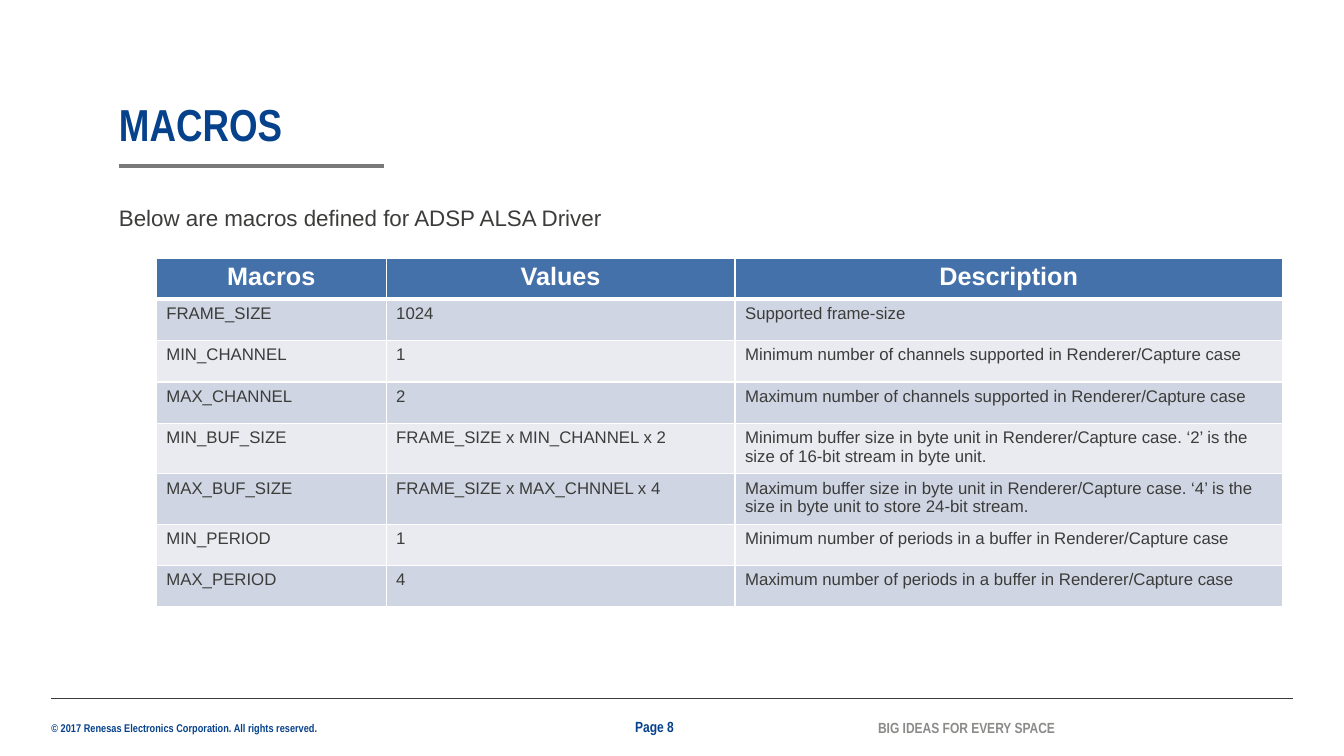
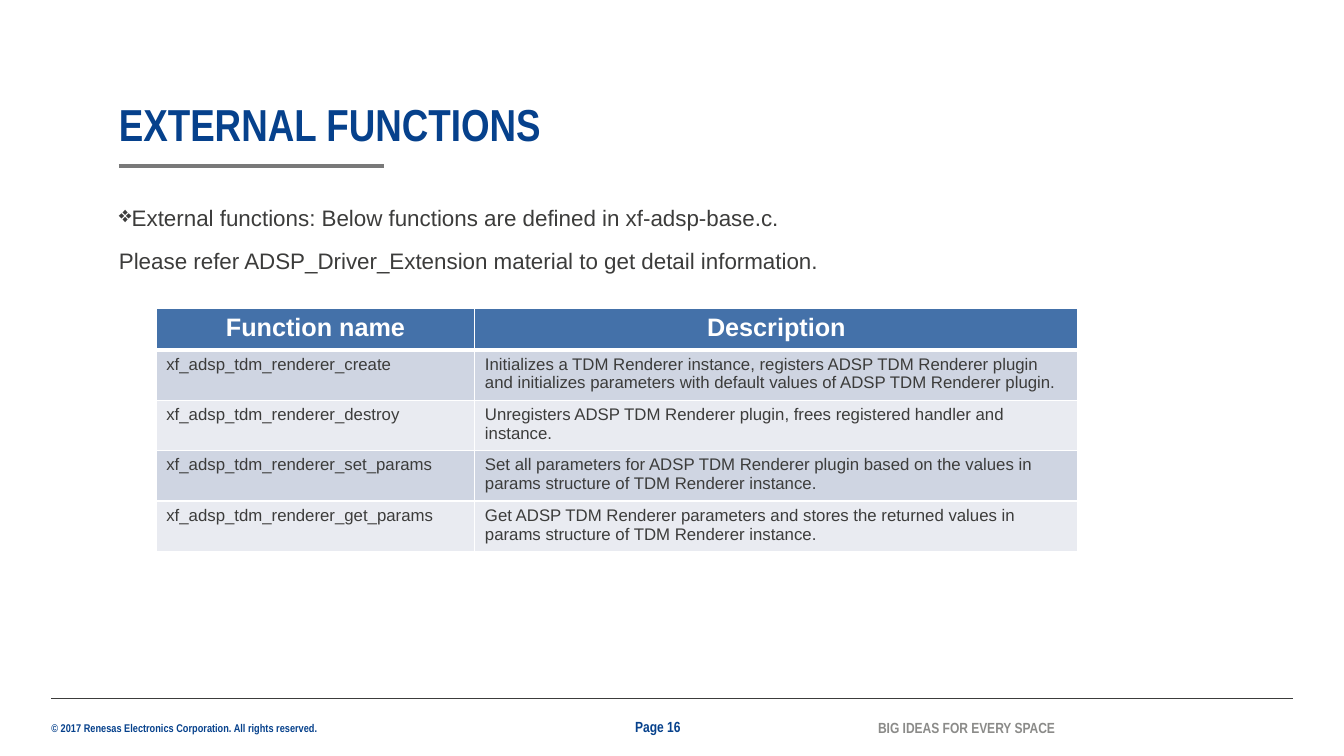
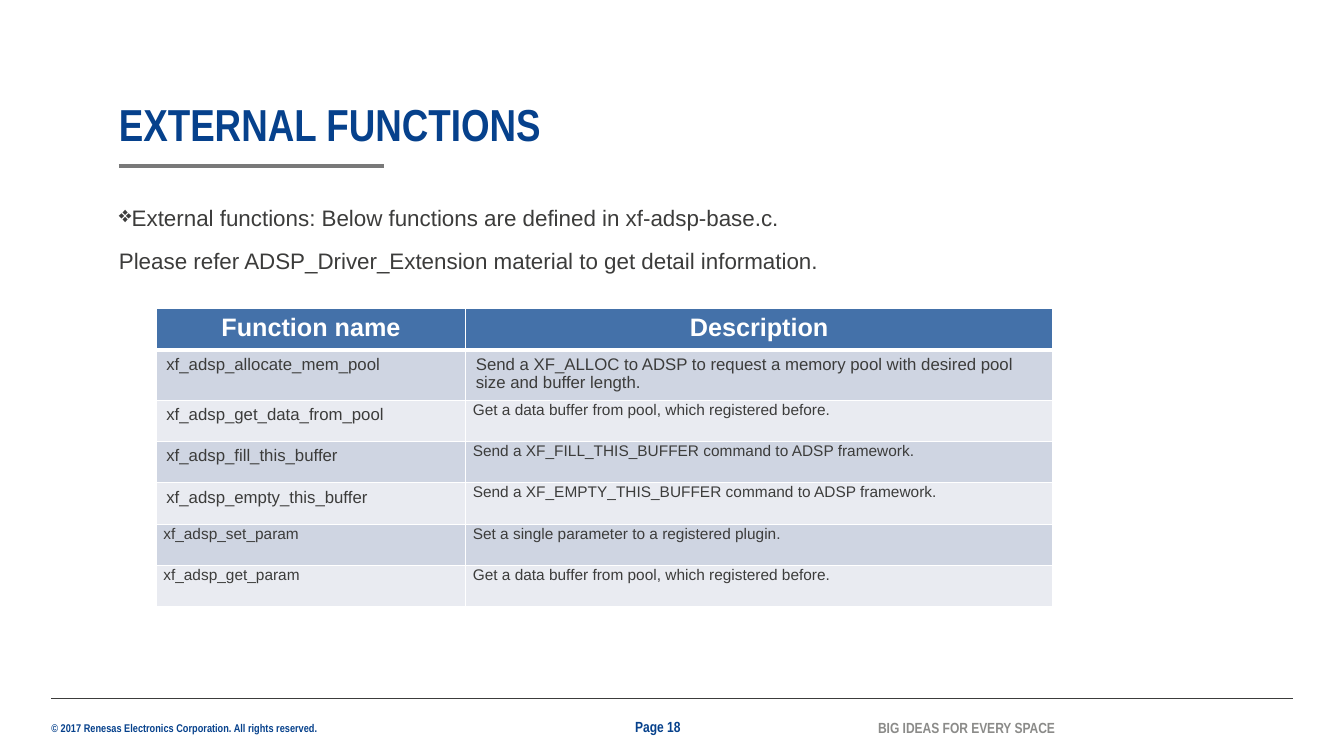
"""Builds three driver reference slides, each with a titled table."""
from dataclasses import dataclass
from typing import NamedTuple

from lxml.etree import SubElement
from pptx import Presentation
from pptx.dml.color import RGBColor
from pptx.enum.shapes import MSO_CONNECTOR
from pptx.enum.text import MSO_ANCHOR as Anchor, MSO_AUTO_SIZE as AutoSize, PP_ALIGN as Align
from pptx.oxml.ns import qn
from pptx.util import Inches, Pt

NAVY = RGBColor(0x06, 0x41, 0x8C)
INK = RGBColor(0x3C, 0x3C, 0x3B)
RULE_GRAY = RGBColor(0x79, 0x79, 0x79)
SLOGAN_GRAY = RGBColor(0x8B, 0x8B, 0x89)
HEADER_BLUE = RGBColor(0x44, 0x71, 0xA9)
BAND_DARK = RGBColor(0xCF, 0xD5, 0xE2)
BAND_LIGHT = RGBColor(0xE9, 0xEB, 0xF1)
WHITE = RGBColor(0xFF, 0xFF, 0xFF)

LEFT = 1.18
TABLE_LEFT = 1.55
ROW_HEIGHT = 0.41
THIN, THICK = 1, 3


class TextStyle(NamedTuple):
    size: float
    color: RGBColor
    bold: bool = True
    name: str = "Arial Narrow"
    line_spacing: float | None = None
    space_after: float | None = None
    align: Align = Align.LEFT


class Frame(NamedTuple):
    left: float
    top: float
    width: float
    height: float


class Rule(NamedTuple):
    left: float
    right: float
    top: float
    color: RGBColor
    weight: float


class Compact(str):
    """Cell text set smaller, with tight margins."""


@dataclass
class TablePage:
    title: str
    number: int
    intro: list[str]
    intro_width: float
    table_top: float
    columns: list[float]
    rows: list[list[str]]


TITLE = TextStyle(32, NAVY, line_spacing=0.9)
COPYRIGHT = TextStyle(8, NAVY)
PAGE_NUMBER = TextStyle(10.5, NAVY)
SLOGAN = TextStyle(10.5, SLOGAN_GRAY)
BODY = TextStyle(16, INK, False, "Arial", 1.2, 8)
HEADER = TextStyle(18, WHITE, True, "Arial", align=Align.CENTER)
CELL = TextStyle(12, INK, False, "Arial")
COMPACT_CELL = TextStyle(11, INK, False, "Arial", 1.07)

RULES = [
    Rule(0.51, 12.82, 6.93, INK, 0.5),
    Rule(LEFT, 3.81, 1.65, RULE_GRAY, 3),
]
BULLET = "❖"
FUNCTION_INTRO = [
    BULLET + "External functions: Below functions are defined in xf-adsp-base.c.",
    "Please refer ADSP_Driver_Extension material to get detail information.",
]
FUNCTION_HEADER = ["Function name", "Description"]

PAGES = [
    TablePage(
        "MACROS", 8, ["Below are macros defined for ADSP ALSA Driver"], 4.84, 2.56,
        [2.28, 3.46, 5.43],
        [
            ["Macros", "Values", "Description"],
            ["FRAME_SIZE", "1024", "Supported frame-size"],
            ["MIN_CHANNEL", "1", "Minimum number of channels supported in Renderer/Capture case"],
            ["MAX_CHANNEL", "2", "Maximum number of channels supported in Renderer/Capture case"],
            ["MIN_BUF_SIZE", "FRAME_SIZE x MIN_CHANNEL x 2",
             "Minimum buffer size in byte unit in Renderer/Capture case. "
             "‘2’ is the size of 16-bit stream in byte unit."],
            ["MAX_BUF_SIZE", "FRAME_SIZE x MAX_CHNNEL x 4",
             "Maximum buffer size in byte unit in Renderer/Capture case. "
             "‘4’ is the size in byte unit to store 24-bit stream."],
            ["MIN_PERIOD", "1", "Minimum number of periods in a buffer in Renderer/Capture case"],
            ["MAX_PERIOD", "4", "Maximum number of periods in a buffer in Renderer/Capture case"],
        ],
    ),
    TablePage(
        "EXTERNAL FUNCTIONS", 16, FUNCTION_INTRO, 6.96, 3.06, [3.16, 5.98],
        [
            FUNCTION_HEADER,
            ["xf_adsp_tdm_renderer_create",
             "Initializes a TDM Renderer instance, registers ADSP TDM Renderer plugin "
             "and initializes parameters with default values of ADSP TDM Renderer plugin."],
            ["xf_adsp_tdm_renderer_destroy",
             "Unregisters ADSP TDM Renderer plugin, frees registered handler and instance."],
            ["xf_adsp_tdm_renderer_set_params",
             "Set all parameters for ADSP TDM Renderer plugin based on the values in "
             "params structure of TDM Renderer instance."],
            ["xf_adsp_tdm_renderer_get_params",
             "Get ADSP TDM Renderer parameters and stores the returned values in "
             "params structure of TDM Renderer instance."],
        ],
    ),
    TablePage(
        "EXTERNAL FUNCTIONS", 18, FUNCTION_INTRO, 7.3, 3.06, [3.07, 5.82],
        [
            FUNCTION_HEADER,
            ["xf_adsp_allocate_mem_pool",
             "Send a XF_ALLOC to ADSP to request a memory pool with desired pool "
             "size and buffer length."],
            ["xf_adsp_get_data_from_pool",
             Compact("Get a data buffer from pool, which registered before.")],
            ["xf_adsp_fill_this_buffer",
             Compact("Send a XF_FILL_THIS_BUFFER command to ADSP framework.")],
            ["xf_adsp_empty_this_buffer",
             Compact("Send a XF_EMPTY_THIS_BUFFER command to ADSP framework.")],
            [Compact("xf_adsp_set_param"),
             Compact("Set a single parameter to a registered plugin.")],
            [Compact("xf_adsp_get_param"),
             Compact("Get a data buffer from pool, which registered before.")],
        ],
    ),
]


def write_paragraph(para, text: str, style: TextStyle) -> None:
    para.alignment = style.align
    if style.line_spacing:
        para.line_spacing = style.line_spacing
    if style.space_after:
        para.space_after = Pt(style.space_after)
    if text.startswith(BULLET):
        properties = para._p.get_or_add_pPr()
        properties.set("marL", "0")
        properties.set("indent", "0")
        SubElement(properties, qn("a:buChar")).set("char", BULLET)
    para.font.name = style.name
    para.font.size = Pt(style.size)
    para.font.bold = style.bold
    para.font.color.rgb = style.color
    para.add_run().text = text.removeprefix(BULLET)


def add_text(page, frame: Frame, lines: list[str], style: TextStyle,
             anchor: Anchor = Anchor.TOP, wrap: bool = True) -> None:
    box = page.shapes.add_textbox(*map(Inches, frame)).text_frame
    box.margin_left = box.margin_top = box.margin_right = box.margin_bottom = 0
    box.vertical_anchor = anchor
    box.word_wrap = wrap
    box.auto_size = AutoSize.SHAPE_TO_FIT_TEXT
    for index, line in enumerate(lines):
        para = box.add_paragraph() if index else box.paragraphs[0]
        write_paragraph(para, line, style)


def add_rule(page, rule: Rule) -> None:
    line = page.shapes.add_connector(
        MSO_CONNECTOR.STRAIGHT, Inches(rule.left), Inches(rule.top),
        Inches(rule.right), Inches(rule.top))
    line.line.color.rgb = rule.color
    line.line.width = Pt(rule.weight)
    SubElement(line._element.spPr, qn("a:effectLst"))


def set_borders(cell, top: float, bottom: float) -> None:
    properties = cell._tc.get_or_add_tcPr()
    for side, weight in (("L", THIN), ("R", THIN), ("T", top), ("B", bottom)):
        border = SubElement(properties, qn(f"a:ln{side}"))
        border.set("w", str(Pt(weight)))
        fill = SubElement(border, qn("a:solidFill"))
        SubElement(fill, qn("a:srgbClr")).set("val", str(WHITE))


def fill_cell(cell, text: str, row: int) -> None:
    set_borders(cell, THICK if row == 1 else THIN, THICK if row == 0 else THIN)
    cell.fill.solid()
    if row == 0:
        cell.fill.fore_color.rgb = HEADER_BLUE
        style = HEADER
    else:
        cell.fill.fore_color.rgb = BAND_DARK if row % 2 else BAND_LIGHT
        style = CELL
    if isinstance(text, Compact):
        style = COMPACT_CELL
        cell.margin_left = cell.margin_right = Inches(0.07)
        cell.margin_top = cell.margin_bottom = 0
    write_paragraph(cell.text_frame.paragraphs[0], text, style)


def add_grid(page, content: TablePage) -> None:
    rows, columns = content.rows, content.columns
    frame = Frame(TABLE_LEFT, content.table_top, sum(columns), ROW_HEIGHT * len(rows))
    table = page.shapes.add_table(len(rows), len(columns), *map(Inches, frame)).table
    for column, width in zip(table.columns, columns):
        column.width = Inches(width)
    for row, texts in enumerate(rows):
        table.rows[row].height = Inches(ROW_HEIGHT)
        for column, text in enumerate(texts):
            fill_cell(table.cell(row, column), text, row)


def add_page(deck, content: TablePage) -> None:
    page = deck.slides.add_slide(deck.slide_layouts[6])
    add_text(page, Frame(0.51, 7.16, 2.68, 0.13),
             ["© 2017 Renesas Electronics Corporation. All rights reserved."],
             COPYRIGHT, wrap=False)
    for rule in RULES:
        add_rule(page, rule)
    add_text(page, Frame(8.71, 7.13, 1.8, 0.18), ["BIG IDEAS FOR EVERY SPACE"],
             SLOGAN, Anchor.MIDDLE)
    add_text(page, Frame(LEFT, 1.02, 9.84, 0.48), [content.title], TITLE, Anchor.BOTTOM)
    add_text(page, Frame(6.3, 7.12, 0.73, 0.18), [f"Page {content.number}"],
             PAGE_NUMBER, Anchor.MIDDLE)
    intro_height = 0.29 if len(content.intro) == 1 else 0.76
    add_text(page, Frame(LEFT, 1.97, content.intro_width, intro_height),
             content.intro, BODY, wrap=False)
    add_grid(page, content)


def main() -> None:
    deck = Presentation()
    deck.slide_width, deck.slide_height = Inches(13.33), Inches(7.5)
    for content in PAGES:
        add_page(deck, content)
    deck.save("out.pptx")


if __name__ == "__main__":
    main()
